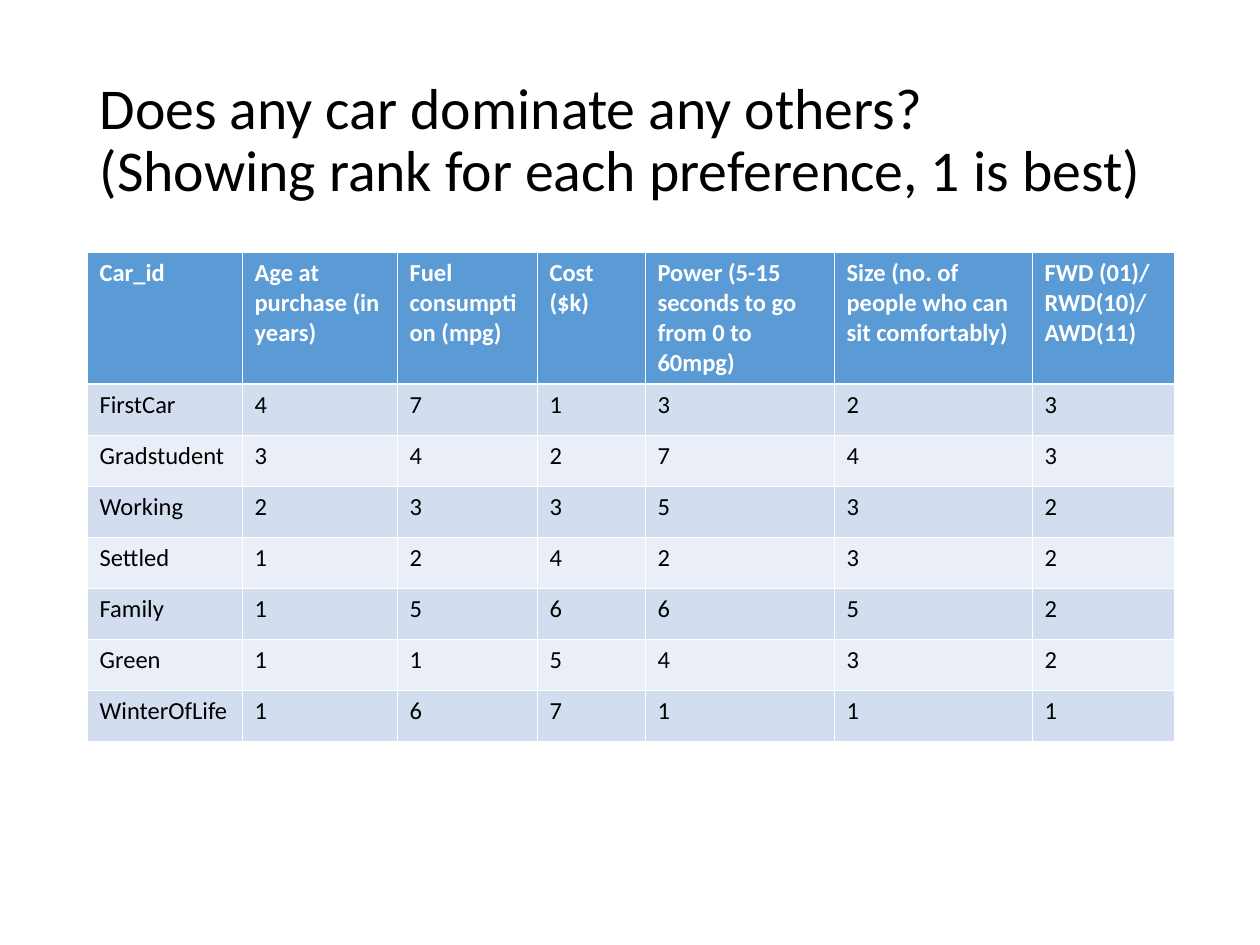
from lxml import etree
from pptx import Presentation
from pptx.dml.color import RGBColor
from pptx.enum.text import MSO_ANCHOR, MSO_AUTO_SIZE, PP_ALIGN
from pptx.oxml.ns import qn
from pptx.util import Pt

LEFT = PP_ALIGN.LEFT
MIDDLE = MSO_ANCHOR.MIDDLE
NO_AUTOFIT = MSO_AUTO_SIZE.NONE

TITLE = "Does any car dominate any others?\v(Showing rank for each preference, 1 is best)"
HEADER = (
    "Car_id",
    "Age at purchase (in years)",
    "Fuel consumption (mpg)",
    "Cost ($k)",
    "Power (5-15 seconds to go from 0 to 60mpg)",
    "Size (no. of people who can sit comfortably)",
    "FWD (01)/ RWD(10)/ AWD(11)",
)
RANKS = [
    ("FirstCar", 4, 7, 1, 3, 2, 3),
    ("Gradstudent", 3, 4, 2, 7, 4, 3),
    ("Working", 2, 3, 3, 5, 3, 2),
    ("Settled", 1, 2, 4, 2, 3, 2),
    ("Family", 1, 5, 6, 6, 5, 2),
    ("Green", 1, 1, 5, 4, 3, 2),
    ("WinterOfLife", 1, 6, 7, 1, 1, 1),
]
COL_WIDTHS = (155, 155, 140, 108, 189, 198, 142)
HEADER_HEIGHT, ROW_HEIGHT = 131, 51
TABLE_LEFT, TABLE_TOP = 87, 252

FONT = "Calibri"
BLACK, WHITE = "000000", "FFFFFF"
HEADER_FILL = "5B9BD5"
BAND_FILLS = ("D2DEEF", "EAEFF7")
THIN, THICK = 0.45, 1.47


def px(n):
    return round(n * 914400 / 126)


def rgb(color):
    return RGBColor.from_string(color)


def set_font(p, size, color, bold=False):
    p.font.name = FONT
    p.font.size = Pt(size)
    p.font.bold = bold
    p.font.color.rgb = rgb(color)


def set_borders(cell, top, bottom):
    """Draw white cell borders; the line elements must precede the fill."""
    tc_pr = cell._tc.get_or_add_tcPr()
    sides = (("L", THIN), ("R", THIN), ("T", top), ("B", bottom))
    for i, (side, width) in enumerate(sides):
        ln = etree.Element(qn(f"a:ln{side}"), w=str(Pt(width)))
        fill = etree.SubElement(ln, qn("a:solidFill"))
        etree.SubElement(fill, qn("a:srgbClr"), val=WHITE)
        tc_pr.insert(i, ln)


def add_title(slide):
    title = slide.shapes.title
    title.left, title.top = px(TABLE_LEFT), px(50)
    title.width, title.height = px(sum(COL_WIDTHS)), px(183)
    tf = title.text_frame
    tf.text = TITLE
    tf.word_wrap = True
    tf.auto_size = NO_AUTOFIT
    tf.vertical_anchor = MIDDLE
    p = tf.paragraphs[0]
    p.alignment = LEFT
    p.line_spacing = 0.9
    set_font(p, 33, BLACK)


def add_rank_table(slide):
    rows = [HEADER, *RANKS]
    heights = [HEADER_HEIGHT] + [ROW_HEIGHT] * len(RANKS)
    table = slide.shapes.add_table(
        len(rows), len(HEADER), px(TABLE_LEFT), px(TABLE_TOP),
        px(sum(COL_WIDTHS)), px(sum(heights))).table
    for column, width in zip(table.columns, COL_WIDTHS):
        column.width = px(width)
    for r, (values, height) in enumerate(zip(rows, heights)):
        table.rows[r].height = px(height)
        is_header = r == 0
        fill = HEADER_FILL if is_header else BAND_FILLS[(r - 1) % 2]
        for c, value in enumerate(values):
            cell = table.cell(r, c)
            cell.text = str(value)
            cell.fill.solid()
            cell.fill.fore_color.rgb = rgb(fill)
            set_font(cell.text_frame.paragraphs[0], 14,
                     WHITE if is_header else BLACK, bold=is_header)
            set_borders(cell, top=THICK if r == 1 else THIN,
                        bottom=THICK if is_header else THIN)


def main():
    prs = Presentation()
    prs.slide_width, prs.slide_height = px(1260), px(945)
    slide = prs.slides.add_slide(prs.slide_layouts[5])
    add_title(slide)
    add_rank_table(slide)
    prs.save("out.pptx")


if __name__ == "__main__":
    main()
